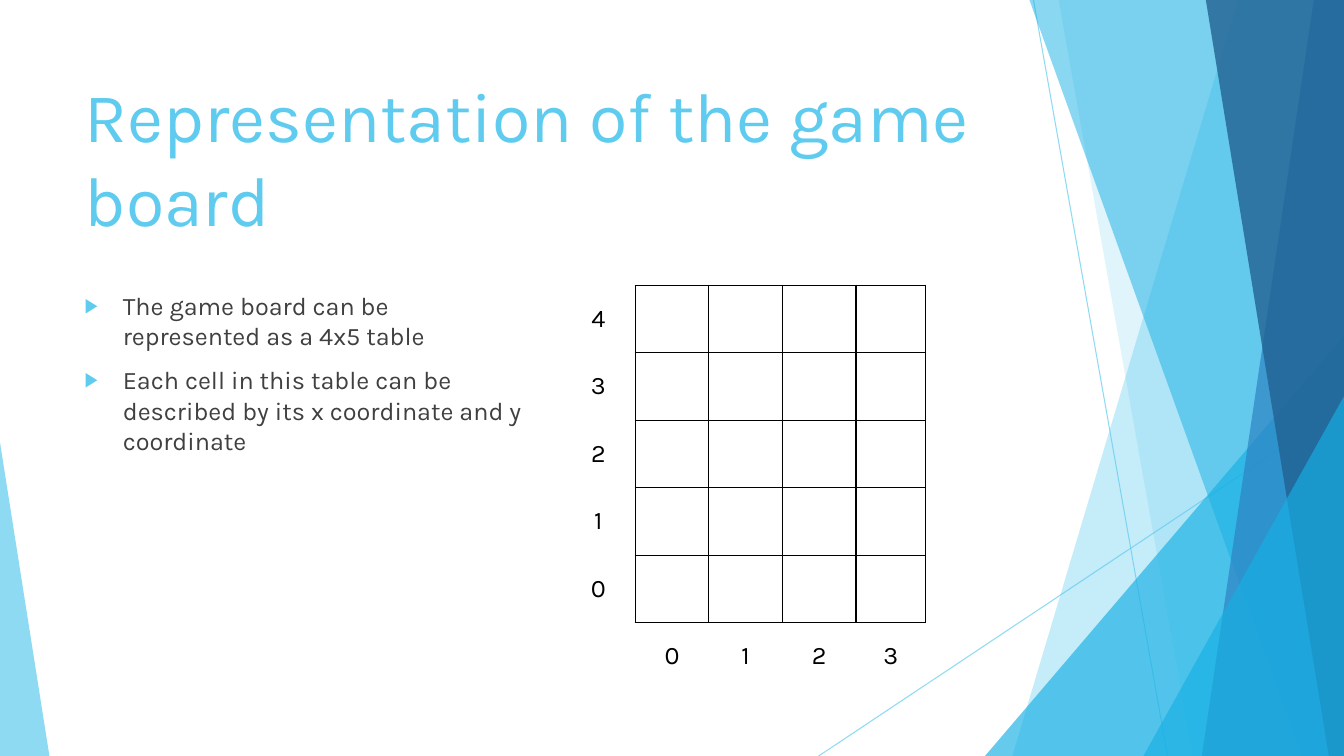
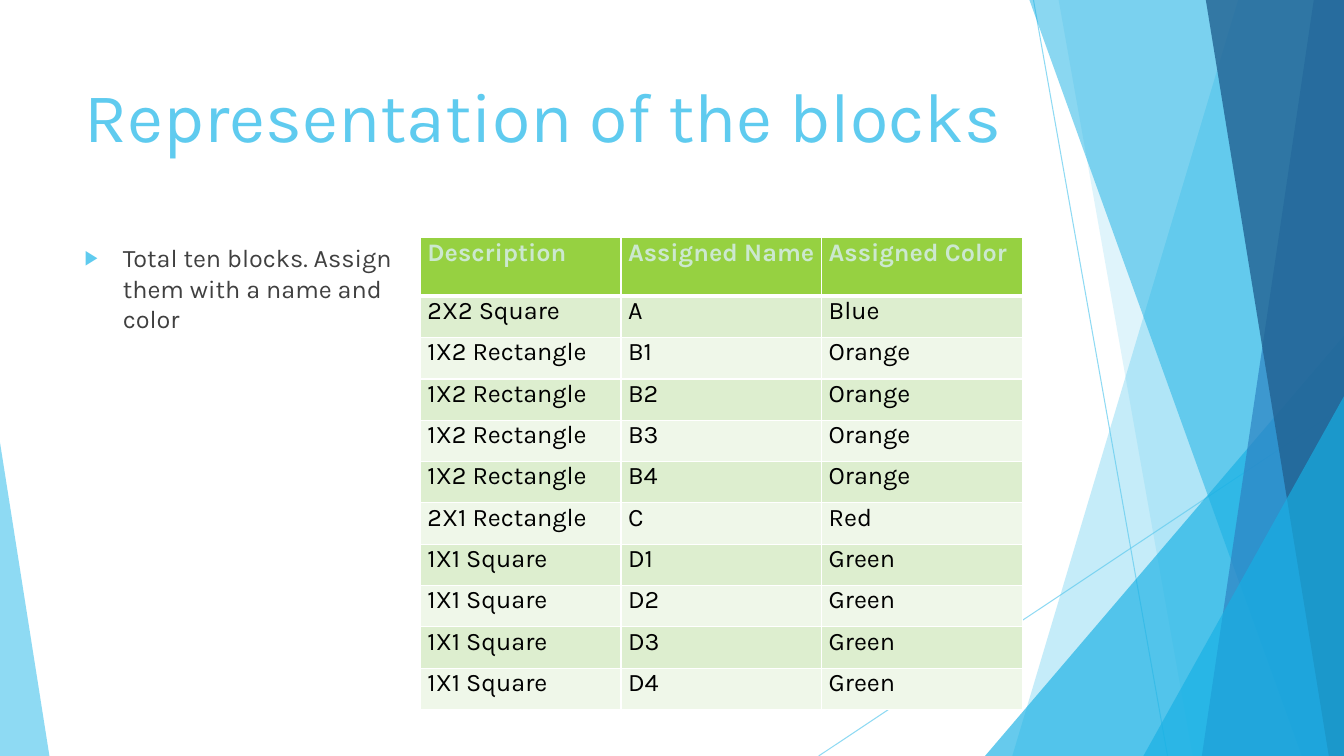
import pptx
import pptx.util
import pptx.dml.color
import pptx.enum.shapes
import pptx.enum.text
import pptx.oxml.ns
from lxml import etree

Inches, Pt = pptx.util.Inches, pptx.util.Pt
RGB = pptx.dml.color.RGBColor
SHAPE = pptx.enum.shapes.MSO_SHAPE
ANCHOR = pptx.enum.text.MSO_ANCHOR
ALIGN = pptx.enum.text.PP_ALIGN
qn = pptx.oxml.ns.qn


class Theme:
    font = "Karla"
    title_size, text_size = 50, 18
    width, height = 13.33, 7.5
    sky, cyan, blue, navy = "5FCBEF", "17B0E4", "2E83C3", "226292"
    text, black, white = "404040", "000000", "FFFFFF"
    header_fill, header_text = "96D141", "CCE8CF"
    bands = ("DDEECF", "EFF7E9")


LINES = [((10.25, 0), (11.58, 7.5)), ((13.33, 4.03), (8.12, 7.5))]
BANDS = [
    ("strip", (12.28, 10.04), Theme.sky, 36),
    ("strip", (10.5, 11.83), Theme.sky, 20),
    ("triangle", (9.77, 3.33, 3.56, 4.17, 1), Theme.cyan, 66),
    ("strip", (10.21, 12.91), Theme.cyan, 50),
    ("strip", (13.03, 11.92), Theme.blue, 70),
    ("strip", (11.96, 13.18), Theme.navy, 80),
    ("triangle", (11.34, 3.93, 1.99, 3.57, 1), Theme.cyan, 66),
    ("triangle", (0, 4.39, 0.49, 3.11, 0), Theme.sky, 70),
]

BOARD_TITLE = "Representation of the game board"
BOARD_POINTS = [
    "The game board can be represented as a 4x5 table",
    "Each cell in this table can be described by its x coordinate and y coordinate",
]
BOARD_X, BOARD_Y = range(4), range(4, -1, -1)
BOARD_COLS = [0.73, 0.73, 0.73, 0.73, 0.69]

BLOCKS_TITLE = "Representation of the blocks"
BLOCKS_POINTS = ["Total ten blocks. Assign them with a name and color"]
BLOCKS_HEAD = ("Description", "Assigned Name", "Assigned Color")
BLOCKS = [
    ("2X2 Square", ["A"], "Blue"),
    ("1X2 Rectangle", ["B1", "B2", "B3", "B4"], "Orange"),
    ("2X1 Rectangle", ["C"], "Red"),
    ("1X1 Square", ["D1", "D2", "D3", "D4"], "Green"),
]


def sub(parent, tag, **attrs):
    return etree.SubElement(parent, qn(tag), attrs)


def set_font(p, size, color, bold=False):
    p.font.name, p.font.size, p.font.bold = Theme.font, Pt(size), bold
    p.font.color.rgb = RGB.from_string(color)


def set_alpha(shape, percent):
    for color in shape.element.spPr.iter(qn("a:srgbClr")):
        sub(color, "a:alpha", val=str(percent * 1000))


def add_line(s, start, end):
    line = s.shapes.add_connector(
        pptx.enum.shapes.MSO_CONNECTOR.STRAIGHT, *map(Inches, start + end))
    line.line.color.rgb = RGB.from_string(Theme.sky)
    line.line.width = Pt(0.75)
    set_alpha(line, 70)
    sub(line.element.spPr, "a:effectLst")


def add_band(s, kind, geometry, color, alpha):
    if kind == "strip":
        top, bottom = geometry
        corners = [(Theme.width, 0), (Theme.width, Theme.height), (bottom, Theme.height)]
        outline = s.shapes.build_freeform(Inches(top), 0)
        outline.add_line_segments([(Inches(x), Inches(y)) for x, y in corners])
        band = outline.convert_to_shape()
    else:
        *box, apex = geometry
        band = s.shapes.add_shape(SHAPE.ISOSCELES_TRIANGLE, *map(Inches, box))
        band.adjustments[0] = apex
    band.shadow.inherit = False
    band.fill.solid()
    band.fill.fore_color.rgb = RGB.from_string(color)
    band.line.fill.background()
    set_alpha(band, alpha)


def add_slide(prs, title):
    s = prs.slides.add_slide(prs.slide_layouts[5])
    for start, end in LINES:
        add_line(s, start, end)
    for band in BANDS:
        add_band(s, *band)
    sp = s.shapes.title
    sp.left, sp.top, sp.width, sp.height = map(Inches, (0.74, 0.67, 9.4, 1.44))
    tf = sp.text_frame
    tf.text = title
    tf.word_wrap = True
    tf.auto_size = pptx.enum.text.MSO_AUTO_SIZE.NONE
    tf.vertical_anchor = ANCHOR.TOP
    p = tf.paragraphs[0]
    p.alignment = ALIGN.LEFT
    set_font(p, Theme.title_size, Theme.sky)
    return s


def add_points(s, points, top, width):
    tf = s.shapes.add_textbox(*map(Inches, (0.74, top, width, 4.24))).text_frame
    tf.word_wrap = True
    for i, point in enumerate(points):
        p = tf.add_paragraph() if i else tf.paragraphs[0]
        p.text = point
        p.space_before = Pt(10)
        set_font(p, Theme.text_size, Theme.text)
        pPr = p._p.get_or_add_pPr()
        pPr.set("marL", str(Inches(0.38)))
        pPr.set("indent", str(Inches(-0.38)))
        sub(sub(pPr, "a:buClr"), "a:srgbClr", val=Theme.sky)
        sub(pPr, "a:buSzPct", val="80000")
        sub(pPr, "a:buFont", typeface="Arial")
        sub(pPr, "a:buChar", char="▶")


def add_table(s, left, top, cols, rows):
    box = (left, top, sum(cols), sum(rows))
    table = s.shapes.add_table(len(rows), len(cols), *map(Inches, box)).table
    table.first_row = table.horz_banding = False
    for col, width in zip(table.columns, cols):
        col.width = Inches(width)
    for row, height in zip(table.rows, rows):
        row.height = Inches(height)
    return table


def set_cell(cell, text, color, bold=False):
    cell.text = text
    p = cell.text_frame.paragraphs[0]
    set_font(p, Theme.text_size, color, bold)
    return p


def set_borders(cell, color, widths):
    tcPr = cell._tc.get_or_add_tcPr()
    for i, (side, width) in enumerate(zip("LRTB", widths)):
        ln = etree.Element(qn("a:ln" + side), {"w": str(Pt(width))})
        if width:
            sub(sub(ln, "a:solidFill"), "a:srgbClr", val=color)
        else:
            sub(ln, "a:noFill")
        tcPr.insert(i, ln)


def board_slide(prs):
    s = add_slide(prs, BOARD_TITLE)
    add_points(s, BOARD_POINTS, 2.83, 4.58)
    grid = [[str(y)] + [""] * len(BOARD_X) for y in BOARD_Y]
    grid.append([""] + [str(x) for x in BOARD_X])
    table = add_table(s, 5.57, 2.83, BOARD_COLS, [0.67] * len(grid))
    last = len(grid) - 1
    for r, row in enumerate(grid):
        for c, text in enumerate(row):
            cell = table.cell(r, c)
            set_cell(cell, text, Theme.black).alignment = ALIGN.CENTER
            cell.vertical_anchor = ANCHOR.MIDDLE
            cell.fill.background()
            inside = c > 0 and r < last
            set_borders(cell, Theme.black, (inside, r < last, c > 0, inside))


def blocks_slide(prs):
    s = add_slide(prs, BLOCKS_TITLE)
    add_points(s, BLOCKS_POINTS, 2.36, 3.29)
    rows = [BLOCKS_HEAD] + [(kind, name, color) for kind, names, color in BLOCKS for name in names]
    table = add_table(s, 4.17, 2.36, [1.99] * 3, [0.58] + [0.41] * (len(rows) - 1))
    table.first_row = True
    for r, row in enumerate(rows):
        head = r == 0
        fill = Theme.header_fill if head else Theme.bands[(r - 1) % 2]
        for c, text in enumerate(row):
            cell = table.cell(r, c)
            set_cell(cell, text, Theme.header_text if head else Theme.black, head)
            cell.margin_left = cell.margin_right = Inches(0.07)
            cell.margin_top = cell.margin_bottom = 0
            cell.fill.solid()
            cell.fill.fore_color.rgb = RGB.from_string(fill)
            set_borders(cell, Theme.white, (1, 1, 3 if r == 1 else 1, 3 if head else 1))


def main():
    prs = pptx.Presentation()
    prs.slide_width, prs.slide_height = Inches(Theme.width), Inches(Theme.height)
    board_slide(prs)
    blocks_slide(prs)
    prs.save("out.pptx")


if __name__ == "__main__":
    main()
